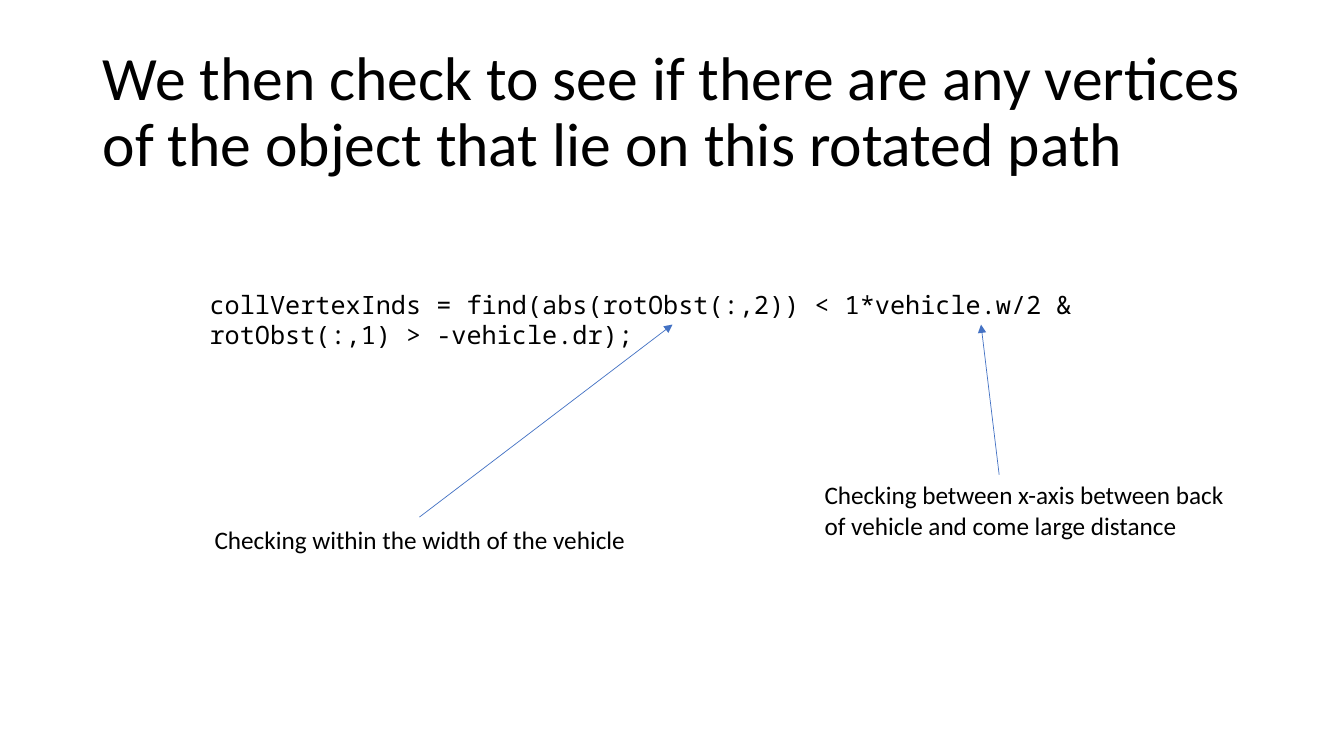
"""Build the slide that explains the vertex check on the rotated path."""
from dataclasses import dataclass

from lxml.etree import SubElement
from pptx import Presentation
from pptx.dml.color import RGBColor
from pptx.enum.shapes import MSO_CONNECTOR
from pptx.enum.text import MSO_ANCHOR, MSO_AUTO_SIZE
from pptx.oxml.ns import qn
from pptx.slide import Slide
from pptx.util import Inches, Pt

BLACK = "000000"
BLUE = "4472C4"


@dataclass(frozen=True)
class TextBlock:
    text: str
    left: float
    top: float
    width: float
    height: float
    font: str = "Calibri"
    size: float = 18
    wrap: bool = True
    anchor: MSO_ANCHOR = MSO_ANCHOR.TOP
    auto_size: MSO_AUTO_SIZE = MSO_AUTO_SIZE.SHAPE_TO_FIT_TEXT
    line_spacing: float = 1.0


@dataclass(frozen=True)
class Arrow:
    start_x: float
    start_y: float
    end_x: float
    end_y: float


TEXT_BLOCKS = [
    TextBlock(
        "We then check to see if there are any vertices of the object that lie on this rotated path",
        0.92, 0.4, 11.5, 1.45, size=44, anchor=MSO_ANCHOR.MIDDLE,
        auto_size=MSO_AUTO_SIZE.NONE, line_spacing=0.9,
    ),
    TextBlock(
        "collVertexInds = find(abs(rotObst(:,2)) < 1*vehicle.w/2 & rotObst(:,1) > -vehicle.dr);",
        1.98, 2.82, 8.76, 0.4, font="Noto Sans Mono",
    ),
    TextBlock("Checking within the width of the vehicle", 2.03, 5.15, 4.33, 0.4, wrap=False),
    TextBlock(
        "Checking between x-axis between back of vehicle and come large distance",
        8.08, 4.71, 4.33, 0.71,
    ),
]

ARROWS = [
    Arrow(9.91, 4.71, 9.73, 3.22),
    Arrow(4.16, 5.13, 6.67, 3.22),
]


def color(value: str) -> RGBColor:
    return RGBColor.from_string(value)


def draw_text(slide: Slide, block: TextBlock) -> None:
    shape = slide.shapes.add_textbox(
        Inches(block.left), Inches(block.top), Inches(block.width), Inches(block.height)
    )
    text_frame = shape.text_frame
    text_frame.text = block.text
    text_frame.word_wrap = block.wrap
    text_frame.auto_size = block.auto_size
    text_frame.vertical_anchor = block.anchor
    paragraph = text_frame.paragraphs[0]
    paragraph.line_spacing = block.line_spacing
    font = paragraph.runs[0].font
    font.name = block.font
    font.size = Pt(block.size)
    font.color.rgb = color(BLACK)


def draw_arrow(slide: Slide, arrow: Arrow) -> None:
    connector = slide.shapes.add_connector(
        MSO_CONNECTOR.STRAIGHT,
        Inches(arrow.start_x), Inches(arrow.start_y),
        Inches(arrow.end_x), Inches(arrow.end_y),
    )
    connector.line.color.rgb = color(BLUE)
    connector.line.width = Pt(0.5)
    properties = connector.element.spPr
    SubElement(properties.find(qn("a:ln")), qn("a:tailEnd"), type="triangle")
    SubElement(properties, qn("a:effectLst"))


def main() -> None:
    presentation = Presentation()
    presentation.slide_width = Inches(13.33)
    presentation.slide_height = Inches(7.5)
    slide = presentation.slides.add_slide(presentation.slide_layouts[6])
    for block in TEXT_BLOCKS:
        draw_text(slide, block)
    for arrow in ARROWS:
        draw_arrow(slide, arrow)
    presentation.save("out.pptx")


if __name__ == "__main__":
    main()
